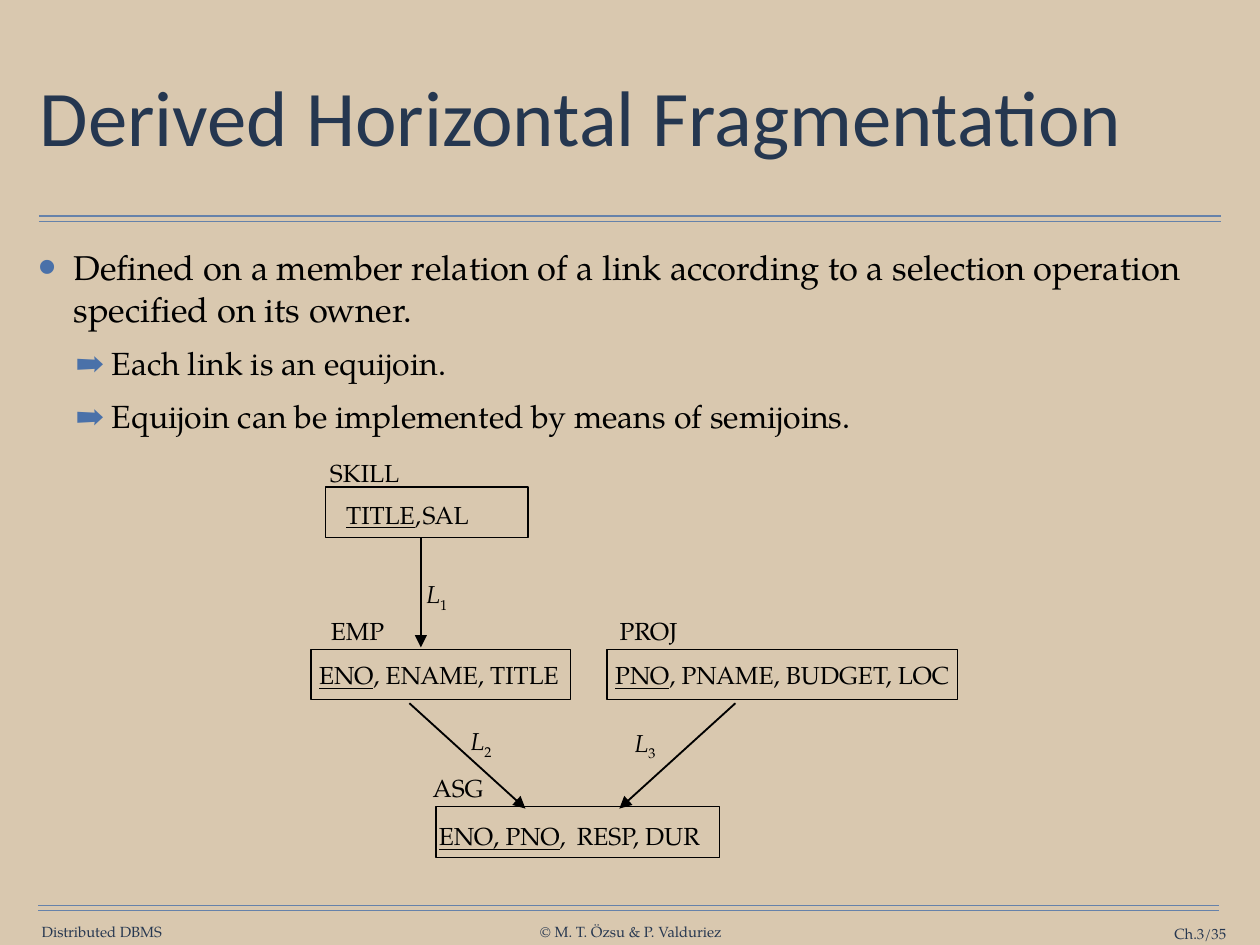
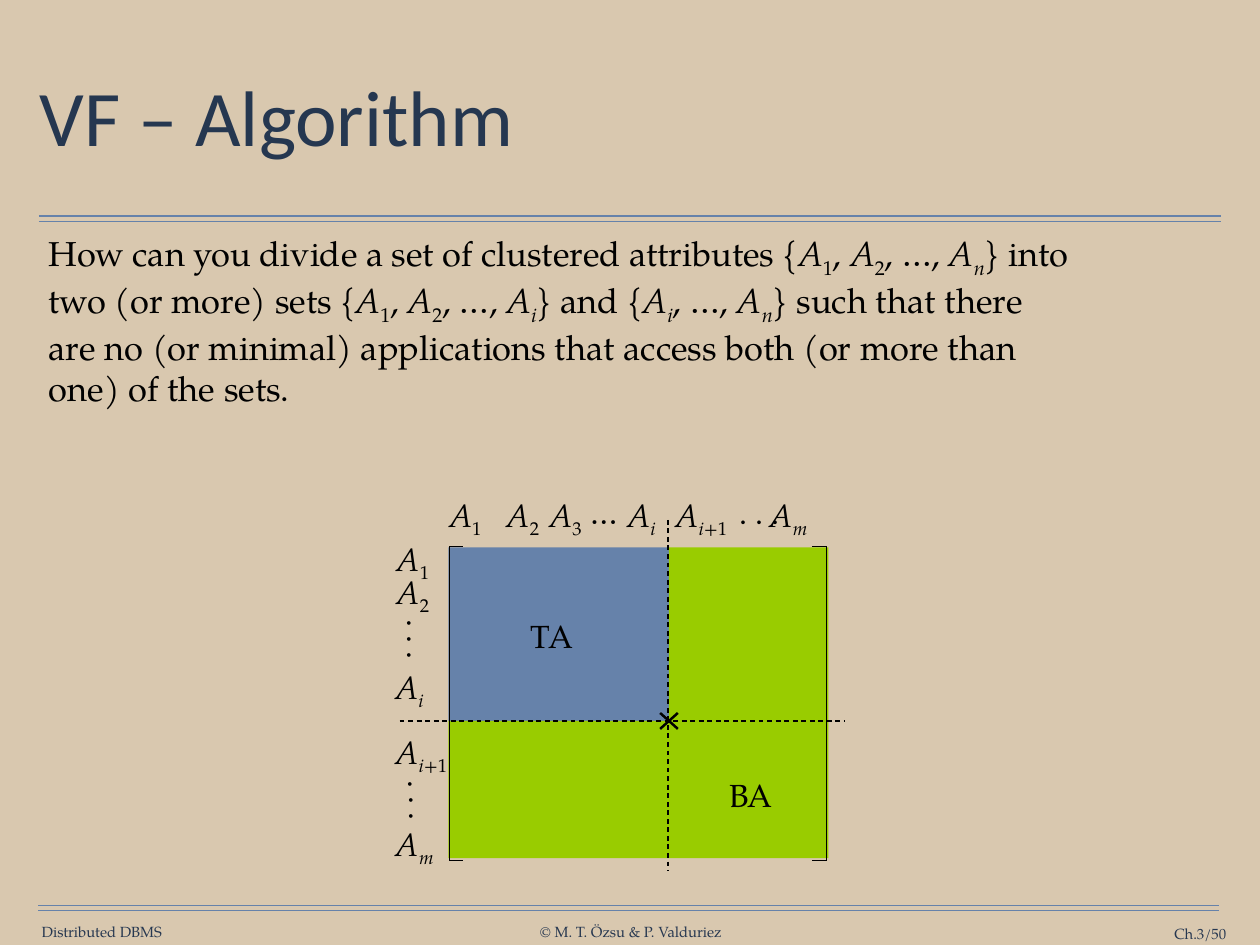
from itertools import product

from lxml import etree
from pptx import Presentation
from pptx.dml.color import RGBColor
from pptx.enum.dml import MSO_LINE_DASH_STYLE as Dash
from pptx.enum.shapes import MSO_CONNECTOR as Connector, MSO_SHAPE as Shape
from pptx.enum.text import MSO_ANCHOR as Anchor, MSO_AUTO_SIZE as AutoSize, PP_ALIGN as Align
from pptx.oxml.ns import qn
from pptx.util import Inches, Pt

# Shared look
SAND, BLUE, NAVY, TITLE_NAVY = "D9C8AF", "6682AA", "263750", "253750"
BULLET_BLUE, GREEN, BLACK = "4A71A9", "99CC00", "000000"
SERIF, SANS = "TeX Gyre Pagella", "Calibri"
TITLE_BOX = (0.39, 0.49, 13.44, 1.76)
BULLETS = [("•", 150, 0.4), ("➡", 85, 0.83)]  # symbol, size %, left margin by level


def color(hex_text):
    return RGBColor.from_string(hex_text)


def inches(*values):
    return [Inches(round(value, 2)) for value in values]


# Text: runs are (text, style) pairs; i = italic, u = underlined, s = subscript
def write(paragraph, runs, size=20, font=SERIF, ink=BLACK, align=Align.LEFT,
          before=0, spacing=1.0):
    paragraph.alignment = align
    paragraph.space_before = Pt(before)
    paragraph.line_spacing = spacing
    for text, style in [(runs, "")] if isinstance(runs, str) else runs:
        run = paragraph.add_run()
        run.text = text
        run.font.size, run.font.name = Pt(size), font
        run.font.color.rgb = color(ink)
        run.font.italic = "i" in style
        run.font.underline = "u" in style
        if "s" in style:
            run._r.get_or_add_rPr().set("baseline", "-25000")


def indexed(letter, *index):
    """An italic letter with subscripts; only letters are italic."""
    return [(letter, "i")] + [(part, "is" if part.isalpha() else "s") for part in index]


def set_frame(frame, pad_x, pad_y, anchor=Anchor.TOP, wrap=True, fit=AutoSize.NONE):
    frame.margin_left = frame.margin_right = Inches(pad_x)
    frame.margin_top = frame.margin_bottom = Inches(pad_y)
    frame.vertical_anchor, frame.word_wrap, frame.auto_size = anchor, wrap, fit


def add_label(slide, box, runs, pad=(0.14, 0.07), anchor=Anchor.TOP, wrap=False,
              rotation=0, align=Align.CENTER, **text_format):
    label = slide.shapes.add_textbox(*inches(*box))
    label.rotation = rotation
    set_frame(label.text_frame, *pad, anchor, wrap, AutoSize.SHAPE_TO_FIT_TEXT)
    write(label.text_frame.paragraphs[0], runs, align=align, **text_format)


def set_bullet(paragraph, level=None):
    """Give the bullet of a level, or none at all."""
    properties = paragraph._p.get_or_add_pPr()

    def add(tag, parent=properties, **attributes):
        return etree.SubElement(parent, qn(tag), attributes)

    if level is None:
        properties.set("marL", "0")
        properties.set("indent", "0")
        add("a:buNone")
        return
    symbol, percent, margin = BULLETS[level]
    paragraph.level = level
    properties.set("marL", str(Inches(margin)))
    properties.set("indent", str(Inches(-0.4)))
    add("a:srgbClr", add("a:buClr"), val=BULLET_BLUE)
    add("a:buSzPct", val=str(percent * 1000))
    add("a:buChar", char=symbol)


# Lines and rectangles
def add_line(slide, start, end, ink=BLACK, width=1, dashed=False, arrow=False):
    line = slide.shapes.add_connector(Connector.STRAIGHT, *inches(*start, *end))
    line.line.color.rgb = color(ink)
    line.line.width = Pt(width)
    if dashed:
        line.line.dash_style = Dash.DASH
    if arrow:
        etree.SubElement(line.line._get_or_add_ln(), qn("a:tailEnd"),
                         type="triangle", w="lg", len="lg")
    etree.SubElement(line._element.spPr, qn("a:effectLst"))


def add_rect(slide, box, fill=None, outline=None):
    rect = slide.shapes.add_shape(Shape.RECTANGLE, *inches(*box))
    rect.shadow.inherit = False
    if fill:
        rect.fill.solid()
        rect.fill.fore_color.rgb = color(fill)
    else:
        rect.fill.background()
    if outline:
        rect.line.color.rgb = color(outline)
        rect.line.width = Pt(1)
    else:
        rect.line.fill.background()


# Slide frame: title, double rules, footer
def add_slide(prs, title, page):
    slide = prs.slides.add_slide(prs.slide_layouts[1])
    heading = slide.shapes.title
    heading.left, heading.top, heading.width, heading.height = inches(*TITLE_BOX)
    set_frame(heading.text_frame, 0.06, 0.06, Anchor.MIDDLE)
    write(heading.text_frame.paragraphs[0], title, size=64, font=SANS,
          ink=TITLE_NAVY, spacing=0.9)
    for (left, right, top), gap in product([(0.44, 13.78, 2.44), (0.43, 13.76, 10.22)],
                                           (0, 0.06)):
        add_line(slide, (left, top + gap), (right, top + gap), BLUE)
    for box, text, align in [
        ((0.46, 10.42, 1.38, 0.2), "Distributed DBMS", Align.CENTER),
        ((6.08, 10.42, 2.08, 0.2), "© M. T. Özsu & P. Valduriez", Align.CENTER),
        ((12.3, 10.44, 1.54, 0.2), f"Ch.3/{page}", Align.RIGHT),
    ]:
        add_label(slide, box, text, pad=(0, 0), anchor=Anchor.MIDDLE,
                  wrap=align == Align.RIGHT, align=align, size=12, ink=NAVY)
    return slide


def fill_body(slide, box, items):
    """Items are (runs, bullet level, size)."""
    body = slide.placeholders[1]
    body.left, body.top, body.width, body.height = inches(*box)
    frame = body.text_frame
    set_frame(frame, 0.06, 0.06)
    for number, (runs, level, size) in enumerate(items):
        paragraph = frame.add_paragraph() if number else frame.paragraphs[0]
        write(paragraph, runs, size=size, before=12)
        set_bullet(paragraph, level)


# Relations joined by links
def add_relation(slide, box, name, attributes):
    """Name and attributes are (runs, left, top, width) relative to the box."""
    left, top = box[:2]
    add_rect(slide, box, outline=BLACK)
    for runs, dx, dy, width in [name, *attributes]:
        add_label(slide, (left + dx, top + dy, width, 0.48), runs)


def draw_schema(slide, left, top):
    relations = [
        (0.17, 0.4, 2.29, ("SKILL", -0.09, -0.4, 1.07),
         [([("TITLE", "u"), (",", "")], 0.09, 0.07, 1.14), ("SAL", 0.95, 0.07, 0.82)]),
        (0.01, 2.23, 2.93, ("EMP", 0.08, -0.45, 0.89),
         [([("ENO", "u"), (", ENAME, TITLE", "")], -0.07, 0.05, 3.03)]),
        (3.35, 2.23, 3.96, ("PROJ", -0.01, -0.45, 0.96),
         [([("PNO", "u"), (", PNAME, BUDGET, LOC", "")], -0.08, 0.05, 4.12)]),
        (1.42, 4.01, 3.2, ("ASG", -0.18, -0.45, 0.86),
         [([("ENO, PNO", "u"), (",", "")], -0.12, 0.09, 1.74),
          ("RESP, DUR", 1.44, 0.09, 1.69)]),
    ]
    for dx, dy, width, name, attributes in relations:
        add_relation(slide, (left + dx, top + dy, width, 0.57), name, attributes)

    # Start, run of the arrow, and label offset from the start
    links = [
        ((1.25, 0.97), (0, 1.24), (-0.1, 0.4)),
        ((1.12, 2.84), (1.31, 1.19), (0.53, 0.19)),
        ((4.8, 2.84), (-1.31, 1.19), (-1.3, 0.21)),
    ]
    for number, ((dx, dy), (run, drop), (label_x, label_y)) in enumerate(links, 1):
        x, y = left + dx, top + dy
        add_line(slide, (x, y), (x + run, y + drop), width=1.5, arrow=True)
        add_label(slide, (x + label_x, y + label_y, 0.56, 0.48), indexed("L", str(number)))


# Attribute matrix split into quadrants
def draw_matrix(slide, left, top, width, height, split_x, split_y):
    right, bottom = left + width, top + height
    middle_x, middle_y = left + split_x, top + split_y
    columns = [(left, split_x), (middle_x, width - split_x)]
    rows = [(top, split_y), (middle_y, height - split_y)]
    for (x, w), (y, h) in product(columns, rows):
        add_rect(slide, (x, y, w, h), BLUE if (x, y) == (left, top) else GREEN)

    # Brackets and split lines
    for x, lip in [(left + 0.01, 0.15), (right - 0.02, -0.17)]:
        add_line(slide, (x, top - 0.01), (x, bottom + 0.02))
        for y in (top - 0.01, bottom + 0.03):
            add_line(slide, (x, y), (x + lip, y))
    add_line(slide, (middle_x - 0.01, top - 0.31), (middle_x - 0.01, bottom + 0.15), dashed=True)
    add_line(slide, (left - 0.55, middle_y), (right + 0.18, middle_y), dashed=True)
    for slant in (1, -1):
        add_line(slide, (middle_x - 0.1 * slant, middle_y - 0.09),
                 (middle_x + 0.1 * slant, middle_y + 0.09), width=2)

    # Attribute names: index, column offset, row offsets, label width
    column_names = [(["1"], -0.12, 0.62), (["2"], 0.53, 0.62), (["3"], 1.01, 0.62),
                    (["i"], 1.88, 0.6), (["i", "+1"], 2.44, 0.83), (["m"], 3.48, 0.72)]
    row_names = [(["1"], -0.71, -0.14, 0.62), (["2"], -0.71, 0.24, 0.62),
                 (["i"], -0.74, 1.31, 0.6), (["i", "+1"], -0.72, 2.04, 0.83),
                 (["m"], -0.74, 3.08, 0.72)]
    names = [(index, dx, -0.63, w) for index, dx, w in column_names] + row_names
    for index, dx, dy, w in names:
        add_label(slide, (left + dx, top + dy, w, 0.54), indexed("A", *index),
                  pad=(0.1, 0.05), size=26)

    # Dots and quadrant names
    for text, dx, dy, w, turn in [
        ("…", 1.44, -0.69, 0.65, 0), (". . . ", 3.14, -0.69, 0.74, 0),
        (". . . ", -0.69, 0.75, 0.74, 89), (". . . ", -0.67, 2.57, 0.74, 89),
        ("TA", 0.79, 0.71, 0.76, 0), ("BA", 3.02, 2.51, 0.79, 0),
    ]:
        add_label(slide, (left + dx, top + dy, w, 0.58), text, rotation=turn, size=26)


def derived_fragmentation(prs):
    slide = add_slide(prs, "Derived Horizontal Fragmentation", 35)
    fill_body(slide, (0.37, 2.72, 13.44, 2.3), [
        ("Defined on a member relation of a link according to a selection operation "
         "specified on its owner.", 0, 28),
        ("Each link is an equijoin.", 1, 26),
        ("Equijoin can be implemented by means of semijoins.", 1, 26),
    ])
    draw_schema(slide, 3.5, 5.1)


def vertical_algorithm(prs):
    slide = add_slide(prs, "VF – Algorithm", 50)
    first_two = [*indexed("A", "1"), (", ", ""), *indexed("A", "2"), (", …, ", "")]
    question = [
        ("How can you divide a set of clustered attributes {", ""),
        *first_two, *indexed("A", "n"), ("} into two (or more) sets {", ""),
        *first_two, *indexed("A", "i"), ("} and {", ""),
        *indexed("A", "i"), (", …, ", ""), *indexed("A", "n"),
        ("} such that there are no (or minimal) applications that access both "
         "(or more than one) of the sets.", ""),
    ]
    fill_body(slide, (0.49, 2.56, 11.66, 2.77), [(question, None, 28)])
    draw_matrix(slide, 5.06, 6.18, 4.29, 3.51, 2.49, 1.96)


def main():
    prs = Presentation()
    prs.slide_width, prs.slide_height = inches(14.22, 10.67)
    backdrop = prs.slide_master.background.fill
    backdrop.solid()
    backdrop.fore_color.rgb = color(SAND)
    derived_fragmentation(prs)
    vertical_algorithm(prs)
    prs.save("out.pptx")


if __name__ == "__main__":
    main()
